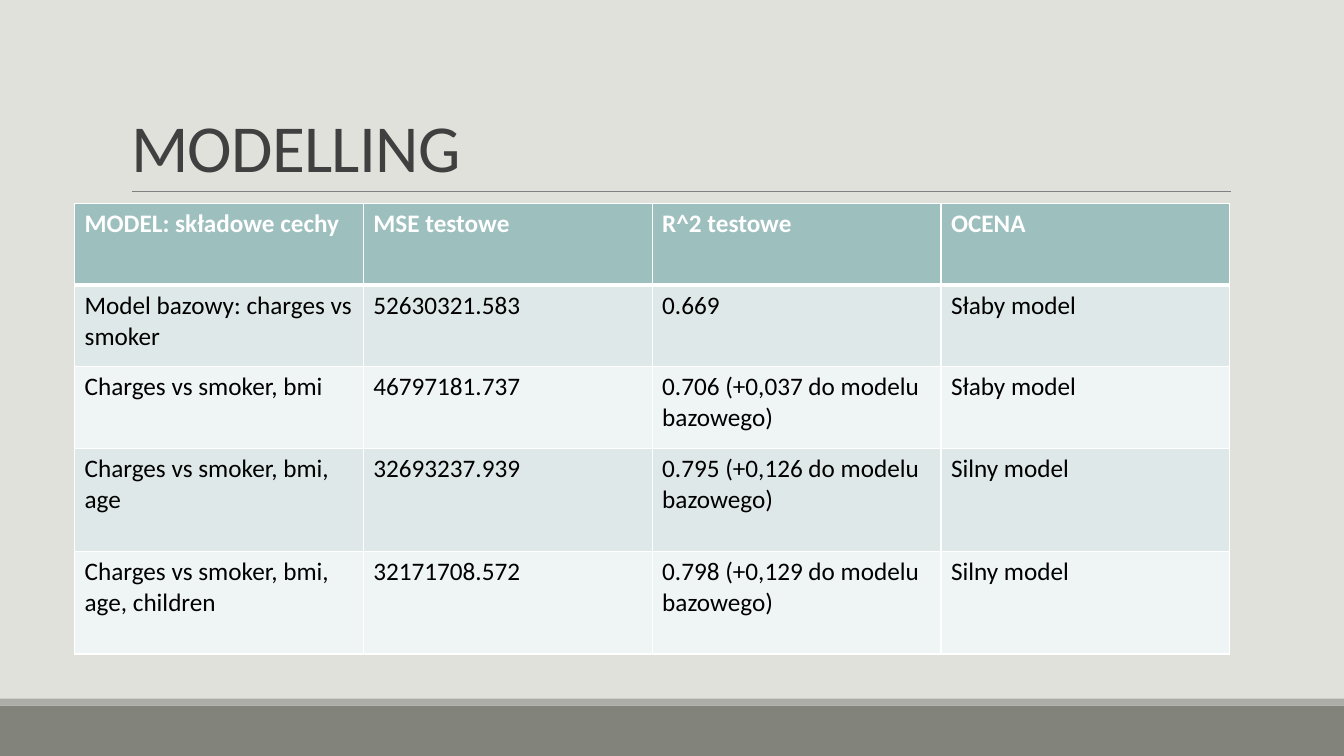
from lxml import etree
from pptx import Presentation, util as u
from pptx.dml.color import RGBColor
from pptx.enum import shapes, text
from pptx.oxml.ns import qn

ROWS = [
    ["MODEL: składowe cechy", "MSE testowe", "R^2 testowe", "OCENA"],
    ["Model bazowy: charges vs smoker", "52630321.583", "0.669", "Słaby model"],
    ["Charges vs smoker, bmi", "46797181.737",
     "0.706 (+0,037 do modelu bazowego)", "Słaby model"],
    ["Charges vs smoker, bmi, age", "32693237.939",
     "0.795 (+0,126 do modelu bazowego)", "Silny model"],
    ["Charges vs smoker, bmi, age, children", "32171708.572",
     "0.798 (+0,129 do modelu bazowego)", "Silny model"],
]
HEIGHTS = [10.8, 10.8, 10.8, 13.6, 13.6]
HEAD, BANDS = "9DBFBE", ["DFE8E8", "EFF4F4"]


def color(code):
    return RGBColor.from_string(code)


class Deck:
    """Holds the style and the current slide; lengths are percent of its size."""

    font = "Calibri"
    rule = "FFFFFF"

    def __init__(self, wide, high, back):
        self.prs = Presentation()
        self.prs.slide_width, self.prs.slide_height = u.Inches(wide), u.Inches(high)
        self.slide = self.prs.slides.add_slide(self.prs.slide_layouts[5])
        self.shapes = self.slide.shapes
        self.paint(self.slide.background.fill, back)

    def x(self, share):
        return round(self.prs.slide_width * share / 100)

    def y(self, share):
        return round(self.prs.slide_height * share / 100)

    def box(self, left, top, width, height):
        return self.x(left), self.y(top), self.x(width), self.y(height)

    def paint(self, fill, code):
        fill.solid()
        fill.fore_color.rgb = color(code)

    def style(self, font, code, **form):
        font.color.rgb = color(code)
        for name, value in {"name": self.font, **form}.items():
            setattr(font, name, value)

    def bar(self, top, height, code):
        bar = self.shapes.add_shape(
            shapes.MSO_SHAPE.RECTANGLE, *self.box(0, top, 100, height))
        bar.shadow.inherit = False
        self.paint(bar.fill, code)
        bar.line.fill.background()

    def line(self, left, right, top, code, width):
        line = self.shapes.add_connector(
            shapes.MSO_CONNECTOR.STRAIGHT,
            self.x(left), self.y(top), self.x(right), self.y(top))
        line.line.color.rgb = color(code)
        line.line.width = u.Pt(width)
        etree.SubElement(line._element.spPr, qn("a:effectLst"))

    def title(self, words, place, code, size):
        title = self.shapes.title
        names = ("left", "top", "width", "height")
        for name, value in zip(names, self.box(*place)):
            setattr(title, name, value)
        frame = title.text_frame
        frame.text = words
        frame.auto_size = text.MSO_AUTO_SIZE.NONE
        frame.vertical_anchor = text.MSO_ANCHOR.BOTTOM
        para = frame.paragraphs[0]
        para.alignment = text.PP_ALIGN.LEFT
        para.line_spacing = 0.85
        font = para.runs[0].font
        self.style(font, code, size=u.Pt(size))
        font._element.set("spc", "-50")

    def edges(self, cell, top, bottom):
        """Draw the four cell borders; top and bottom are widths in points."""
        props = cell._tc.get_or_add_tcPr()
        for spot, (side, width) in enumerate(
                {"L": 1, "R": 1, "T": top, "B": bottom}.items()):
            edge = etree.Element(qn("a:ln" + side), w=str(u.Pt(width)))
            fill = etree.SubElement(edge, qn("a:solidFill"))
            etree.SubElement(fill, qn("a:srgbClr"), val=self.rule)
            props.insert(spot, edge)

    def table(self, rows, left, top, width, heights):
        grid = self.shapes.add_table(
            len(rows), len(rows[0]),
            *self.box(left, top, width, sum(heights))).table
        for col in grid.columns:
            col.width = self.x(width / len(rows[0]))
        for r, (row, height) in enumerate(zip(rows, heights)):
            grid.rows[r].height = self.y(height)
            head = r == 0
            for c, words in enumerate(row):
                cell = grid.cell(r, c)
                cell.text = words
                self.paint(cell.fill, HEAD if head else BANDS[(r - 1) % 2])
                self.edges(cell, 3 if r == 1 else 1, 3 if head else 1)
                self.style(cell.text_frame.paragraphs[0].runs[0].font,
                           "FFFFFF" if head else "000000",
                           size=u.Pt(18), bold=head)


def main():
    deck = Deck(13.33, 7.5, "E1E1DB")
    deck.bar(93.33, 6.67, "82847C")
    deck.bar(92.4, 0.93, "ACADA8")
    deck.line(9.83, 91.6, 25.33, "808080", 0.5)
    deck.title("MODELLING", (9, 4.13, 82.5, 21.2), "404040", 48)
    deck.table(ROWS, 5.55, 26.93, 85.95, HEIGHTS)
    deck.prs.save("out.pptx")


if __name__ == "__main__":
    main()
